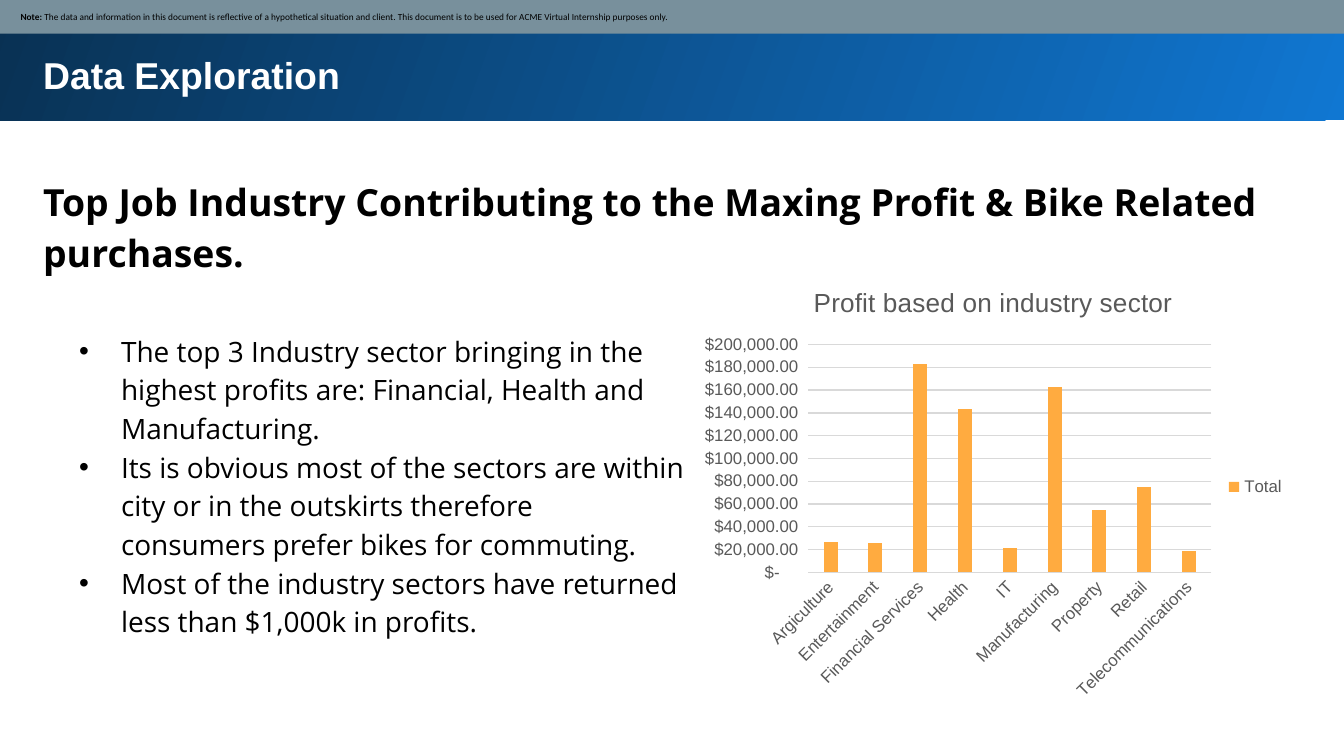
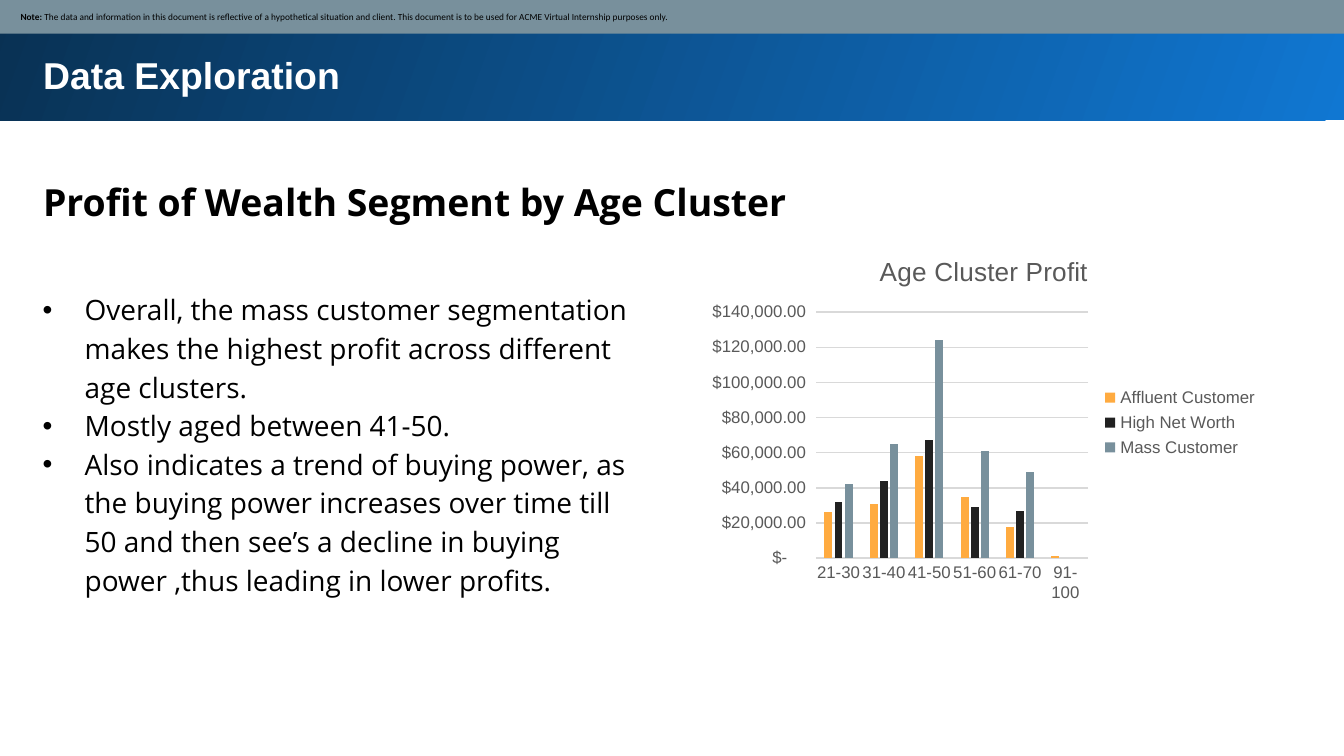
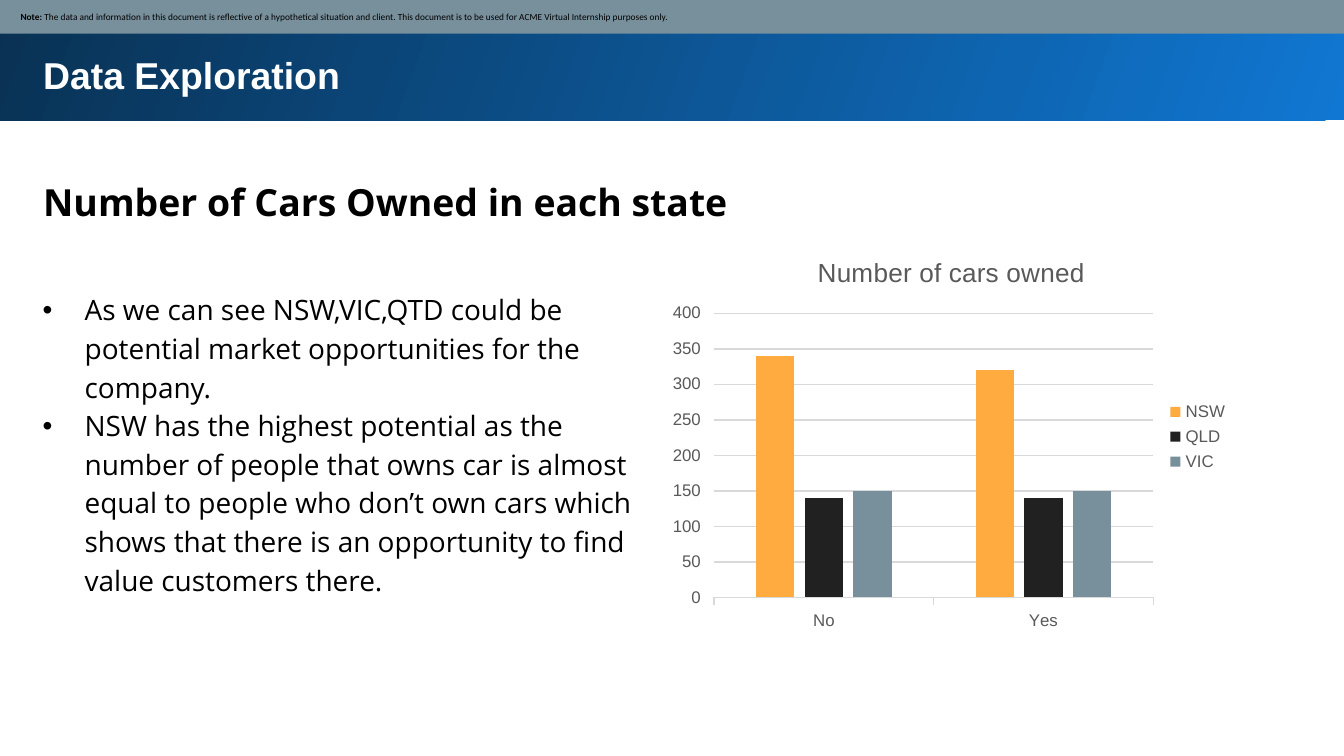
import lxml.etree
import pptx
import pptx.chart.data
import pptx.dml.color
import pptx.enum.chart
import pptx.enum.shapes
import pptx.enum.text
import pptx.oxml.ns
import pptx.util

Pt = pptx.util.Pt
qn = pptx.oxml.ns.qn
chart_enum = pptx.enum.chart

SLIDE_W, SLIDE_H = 720, 405
COLORS = {
    "bright": "1077D2", "navy": "093153", "slate": "78909C", "orange": "FFAB40",
    "ink": "212121", "black": "000000", "white": "FFFFFF",
    "label": "595959", "grid": "D9D9D9",
}
SERIES_COLORS = ["orange", "ink", "slate"]

# Text styles
BANNER = {"name": "Arial", "size": Pt(20), "bold": True, "color": "white"}
HEADING = {"name": "Open Sans", "size": Pt(20), "bold": True, "color": "black"}
BODY = {"name": "Open Sans", "size": Pt(15), "bold": False, "color": "black"}
NOTE = {"name": "Calibri", "size": Pt(5), "bold": False, "color": "black"}
NOTE_LABEL = {**NOTE, "bold": True}
CHART_TITLE = {"name": "Arial", "size": Pt(14), "bold": False, "color": "label"}
CHART_LABEL = {**CHART_TITLE, "size": Pt(9)}

# Boxes: left, top, width, height
BAND_BOX = (-1.5, -1.5, 723.5, 66)
NOTE_BOX = (-0.5, -0.5, 722, 18.5)
BANNER_BOX = (16, 21, 674.5, 36.5)

DOLLARS = ('_-[$$-409]* #,##0.00_ ;_-[$$-409]* \\-#,##0.00\\ ;'
           '_-[$$-409]* "-"??_ ;_-@_ ')
NOTE_TEXT = ("The data and information in this document is reflective of a "
             "hypothetical situation and client. This document is to be used for "
             "ACME Virtual Internship purposes only.")


def points(box):
    return [Pt(length) for length in box]


def rgb(color):
    return pptx.dml.color.RGBColor.from_string(COLORS[color])


def apply(target, values):
    for key, value in values.items():
        setattr(target, key, value)


def style_font(font, style):
    apply(font, {key: value for key, value in style.items() if key != "color"})
    font.color.rgb = rgb(style["color"])


def add_run(paragraph, text, style):
    run = paragraph.add_run()
    run.text = text
    style_font(run.font, style)


def add_text(slide, box, texts, style, spacing=None, bulleted=False):
    frame = slide.shapes.add_textbox(*points(box)).text_frame
    apply(frame, {"word_wrap": True,
                  "auto_size": pptx.enum.text.MSO_AUTO_SIZE.SHAPE_TO_FIT_TEXT})
    apply(frame, {f"margin_{side}": Pt(7.2)
                  for side in ("left", "top", "right", "bottom")})
    for index, text in enumerate(texts):
        paragraph = frame.add_paragraph() if index else frame.paragraphs[0]
        add_run(paragraph, text, style)
        if spacing:
            paragraph.line_spacing = spacing
        if bulleted:
            add_bullet(paragraph)


def add_bullet(paragraph, indent=Pt(22.5)):
    properties = paragraph._p.get_or_add_pPr()
    properties.set("marL", str(indent))
    properties.set("indent", str(-indent))
    for tag, key, value in (("a:buFont", "typeface", "Arial"),
                            ("a:buChar", "char", "•")):
        lxml.etree.SubElement(properties, qn(tag)).set(key, value)


def add_band(slide, box):
    band = slide.shapes.add_shape(
        pptx.enum.shapes.MSO_SHAPE.RECTANGLE, *points(box))
    band.shadow.inherit = False
    band.line.fill.background()
    return band


def add_header(slide):
    """Gradient band with the section name."""
    band = add_band(slide, BAND_BOX)
    band.fill.gradient()
    band.fill.gradient_angle = 160
    for stop, color in zip(band.fill.gradient_stops, ("bright", "navy")):
        stop.color.rgb = rgb(color)
    add_text(slide, BANNER_BOX, ["Data Exploration"], BANNER)


def add_note(slide):
    """Disclaimer strip along the top edge."""
    strip = add_band(slide, NOTE_BOX)
    strip.fill.solid()
    strip.fill.fore_color.rgb = rgb("slate")
    frame = strip.text_frame
    apply(frame, {"word_wrap": True, "margin_left": Pt(11.5),
                  "margin_right": Pt(3.6), "margin_top": Pt(3.6),
                  "margin_bottom": Pt(3.6),
                  "vertical_anchor": pptx.enum.text.MSO_ANCHOR.MIDDLE})
    paragraph = frame.paragraphs[0]
    paragraph.alignment = pptx.enum.text.PP_ALIGN.LEFT
    add_run(paragraph, "Note: ", NOTE_LABEL)
    add_run(paragraph, NOTE_TEXT, NOTE)


def style_line(line, color="grid"):
    line.color.rgb = rgb(color)
    line.width = Pt(0.75)


def add_column_chart(slide, box, title, categories, series, top, step,
                     number_format="General", ticks="NONE", label_angle=0):
    data = pptx.chart.data.CategoryChartData(number_format=number_format)
    data.categories = categories
    for name, values in series.items():
        data.add_series(name, values)
    chart = slide.shapes.add_chart(
        chart_enum.XL_CHART_TYPE.COLUMN_CLUSTERED, *points(box), data).chart
    style_font(chart.font, {**CHART_LABEL, "size": Pt(10), "color": "black"})

    # Title and legend
    chart.has_title = True
    add_run(chart.chart_title.text_frame.paragraphs[0], title, CHART_TITLE)
    chart.has_legend = True
    apply(chart.legend, {"position": chart_enum.XL_LEGEND_POSITION.RIGHT,
                         "include_in_layout": False})
    style_font(chart.legend.font, CHART_LABEL)

    # Columns
    plot = chart.plots[0]
    apply(plot, {"gap_width": 219, "overlap": -27, "vary_by_categories": False})
    for columns, color in zip(plot.series, SERIES_COLORS):
        columns.format.fill.solid()
        columns.format.fill.fore_color.rgb = rgb(color)
        columns.invert_if_negative = False

    # Axes
    for axis in (chart.category_axis, chart.value_axis):
        apply(axis, {"major_tick_mark": chart_enum.XL_TICK_MARK[ticks],
                     "minor_tick_mark": chart_enum.XL_TICK_MARK.NONE})
        style_font(axis.tick_labels.font, CHART_LABEL)
    style_line(chart.category_axis.format.line)
    label_body = chart.category_axis._element.find(".//" + qn("a:bodyPr"))
    label_body.set("rot", str(label_angle * 60000))
    apply(chart.value_axis, {"minimum_scale": 0, "maximum_scale": top,
                             "major_unit": step, "has_major_gridlines": True})
    apply(chart.value_axis.tick_labels, {"number_format": number_format,
                                         "number_format_is_linked": False})
    chart.value_axis.format.line.fill.background()
    style_line(chart.value_axis.major_gridlines.format.line)


def add_exploration_slide(deck, heading, bullets, chart,
                          heading_height=40, bullets_at=(15.8, 147)):
    slide = deck.slides.add_slide(deck.slide_layouts[6])
    add_header(slide)
    add_text(slide, (16, 85, 674.5, heading_height), [heading], HEADING, 1.15)
    add_text(slide, (*bullets_at, 338.5, 180.7), bullets, BODY, 1.15, bulleted=True)
    add_note(slide)
    add_column_chart(slide, **chart)


deck = pptx.Presentation()
apply(deck, {"slide_width": Pt(SLIDE_W), "slide_height": Pt(SLIDE_H)})

# Profit by industry
add_exploration_slide(
    deck,
    "Top Job Industry Contributing to the Maxing Profit & Bike Related purchases.",
    ["The top 3 Industry sector bringing in the highest profits are: Financial, "
     "Health and Manufacturing.",
     "Its is obvious most of the sectors are within city or in the outskirts "
     "therefore consumers prefer bikes for commuting.",
     "Most of the industry sectors have returned less than $1,000k in profits."],
    {"box": (368.6, 141.8, 327, 238.3),
     "title": "Profit based on industry sector",
     "categories": ["Argiculture", "Entertainment", "Financial Services", "Health",
                    "IT", "Manufacturing", "Property", "Retail",
                    "Telecommunications"],
     "series": {"Total": [27000, 26000, 183000, 143000, 21000, 163000, 55000,
                          75000, 19000]},
     "top": 200000, "step": 20000, "number_format": DOLLARS, "label_angle": -45},
    heading_height=68.4, bullets_at=(35.3, 169.2))

# Profit by age
add_exploration_slide(
    deck,
    "Profit of Wealth Segment by Age Cluster",
    ["Overall, the mass customer segmentation makes the highest profit across "
     "different age clusters.",
     "Mostly aged between 41-50.",
     "Also indicates a trend of buying power, as the buying power increases over "
     "time till 50 and then see’s a decline in buying power ,thus leading in "
     "lower profits."],
    {"box": (373, 126, 308.2, 200.9),
     "title": "Age Cluster Profit",
     "categories": ["21-30", "31-40", "41-50", "51-60", "61-70", "91-100"],
     "series": {"Affluent Customer": [26000, 31000, 58000, 35000, 18000, 1000],
                "High Net Worth": [32000, 44000, 67000, 29000, 27000, None],
                "Mass Customer": [42000, 65000, 124000, 61000, 49000, None]},
     "top": 140000, "step": 20000, "number_format": DOLLARS})

# Cars by state
add_exploration_slide(
    deck,
    "Number of Cars Owned in each state",
    ["As we can see NSW,VIC,QTD could be potential market opportunities for the "
     "company.",
     "NSW has the highest potential as the number of people that owns car is "
     "almost equal to people who don’t own cars which shows that there is an "
     "opportunity to find value customers there."],
    {"box": (354.2, 126, 311, 216),
     "title": "Number of cars owned",
     "categories": ["No", "Yes"],
     "series": {"NSW": [340, 320], "QLD": [140, 140], "VIC": [150, 150]},
     "top": 400, "step": 50, "ticks": "OUTSIDE"})

deck.save("out.pptx")
